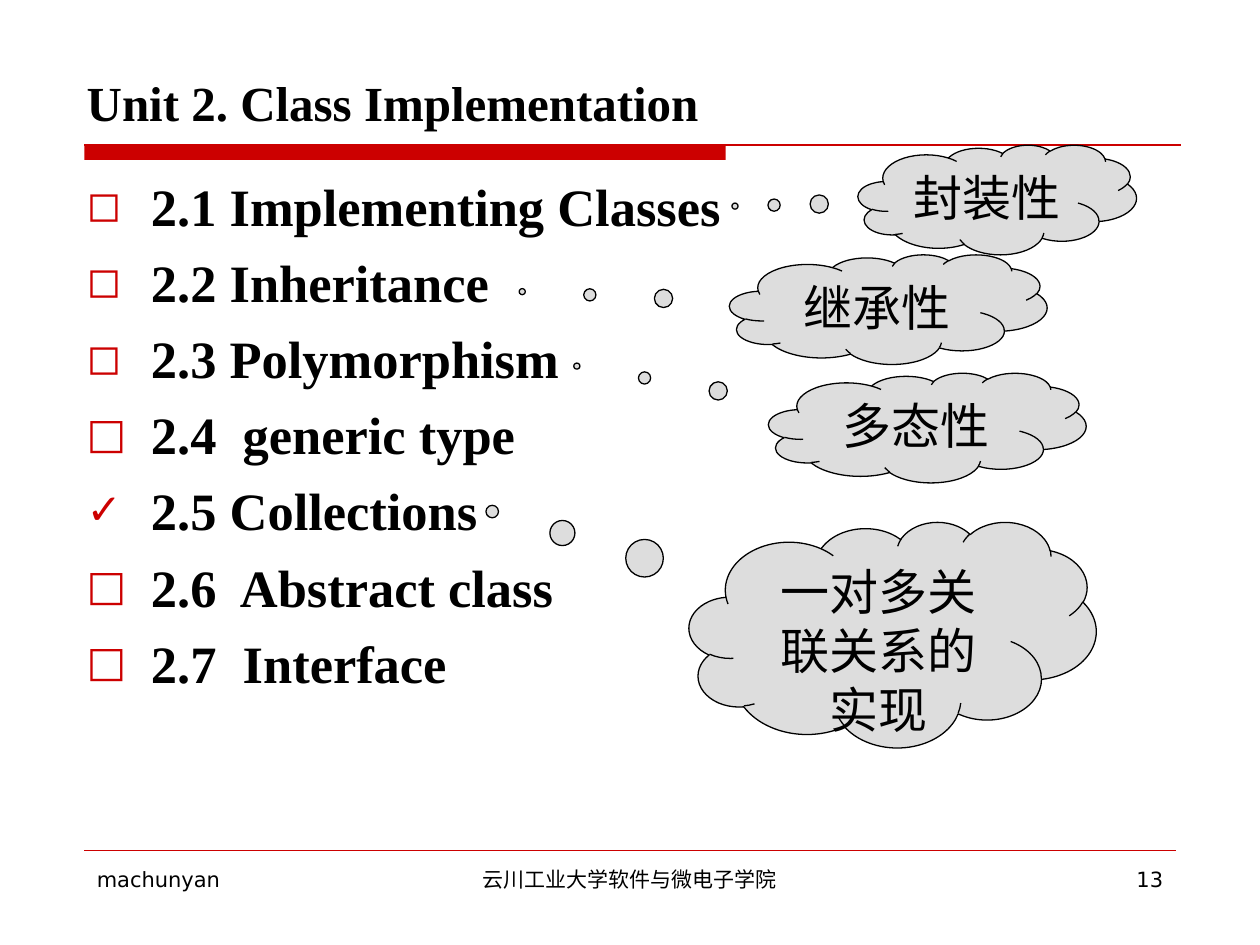
import pptx
import pptx.dml.color
import pptx.enum.shapes
import pptx.enum.text
import pptx.util
from lxml import etree
from pptx.oxml.ns import qn
from pptx.util import Inches

COLORS = {"accent": "CC0000", "cloud": "DDDDDD", "ink": "000000", "paper": "FFFFFF"}
SERIF = "Times New Roman"
SANS = "DejaVu Sans"
ALIGN = pptx.enum.text.PP_ALIGN
ANCHOR = pptx.enum.text.MSO_ANCHOR
SHAPE = pptx.enum.shapes.MSO_SHAPE

TOPICS = [
    ("◻", "2.1 Implementing Classes"),
    ("◻", "2.2 Inheritance"),
    ("◻", "2.3 Polymorphism"),
    ("□", "2.4  generic type"),
    ("✓", "2.5 Collections"),
    ("□", "2.6  Abstract class"),
    ("□", "2.7  Interface"),
]
THOUGHTS = [
    ("封装性", (6.81, 1.15, 2.21, 0.87), (-0.942, 0.059)),
    ("继承性", (5.79, 2.02, 2.52, 0.87), (-1.153, -0.161)),
    ("多态性", (6.1, 2.96, 2.52, 0.87), (-1.104, -0.562)),
    ("一对多关联关系的实现", (5.47, 4.14, 3.23, 1.79), (-0.984, -0.545)),
]


def color(name):
    return pptx.dml.color.RGBColor.from_string(COLORS[name])


def write(paragraph, text, size=28, font=SERIF, bold=False, align=ALIGN.LEFT):
    paragraph.alignment = align
    run = paragraph.add_run()
    run.text = text
    run.font.size = pptx.util.Pt(size)
    run.font.name = font
    run.font.bold = bold
    run.font.color.rgb = color("ink")


def add_frame(slide, left, top, width, height, anchor=ANCHOR.TOP):
    box = slide.shapes.add_textbox(Inches(left), Inches(top), Inches(width), Inches(height))
    frame = box.text_frame
    frame.word_wrap = True
    frame.vertical_anchor = anchor
    return frame


def add_rule(slide, left, top, width, weight):
    rule = slide.shapes.add_connector(
        pptx.enum.shapes.MSO_CONNECTOR.STRAIGHT,
        Inches(left), Inches(top), Inches(left + width), Inches(top))
    rule.line.color.rgb = color("accent")
    rule.line.width = pptx.util.Pt(weight)
    etree.SubElement(rule._element.spPr, qn("a:effectLst"))


def add_bullet(paragraph, mark):
    properties = paragraph._p.get_or_add_pPr()
    properties.set("marL", str(Inches(0.51)))
    properties.set("indent", str(-Inches(0.51)))
    tint = etree.SubElement(properties, qn("a:buClr"))
    etree.SubElement(tint, qn("a:srgbClr"), val=COLORS["accent"])
    etree.SubElement(properties, qn("a:buSzPct"), val="80000")
    etree.SubElement(properties, qn("a:buFont"), typeface=SANS)
    etree.SubElement(properties, qn("a:buChar"), char=mark)


def build_heading(slide, left, top, width, height):
    title = add_frame(slide, left, top, width, height, ANCHOR.BOTTOM)
    write(title.paragraphs[0], "Unit 2. Class Implementation", bold=True)
    rule_left, rule_top = left + 0.08, top + 0.63
    bar = slide.shapes.add_shape(
        SHAPE.RECTANGLE, Inches(rule_left), Inches(rule_top), Inches(5.09), Inches(0.12))
    bar.shadow.inherit = False
    bar.fill.solid()
    bar.fill.fore_color.rgb = color("accent")
    bar.line.fill.background()
    add_rule(slide, rule_left, rule_top, 8.7, 0.75)


def build_topics(slide, left, top, width, height):
    frame = add_frame(slide, left, top, width, height)
    frame.margin_top = Inches(0.07)
    for index, (mark, topic) in enumerate(TOPICS):
        paragraph = frame.paragraphs[0] if index == 0 else frame.add_paragraph()
        write(paragraph, topic, size=30, bold=True)
        paragraph.space_before = pptx.util.Pt(7.5)
        paragraph.line_spacing = pptx.util.Pt(36)
        add_bullet(paragraph, mark)


def build_thought(slide, text, left, top, width, height, tail):
    cloud = slide.shapes.add_shape(
        SHAPE.CLOUD_CALLOUT, Inches(left), Inches(top), Inches(width), Inches(height))
    cloud.adjustments[0], cloud.adjustments[1] = tail
    cloud.shadow.inherit = False
    cloud.fill.solid()
    cloud.fill.fore_color.rgb = color("cloud")
    cloud.line.color.rgb = color("ink")
    cloud.line.width = pptx.util.Pt(0.75)
    frame = cloud.text_frame
    frame.word_wrap = True
    frame.vertical_anchor = ANCHOR.TOP
    write(frame.paragraphs[0], text, align=ALIGN.CENTER)


def build_footer(slide, left, top, width, height):
    add_rule(slide, left, top, width, 0.25)
    side, middle = 2.17, 3.17
    fields = [
        ("machunyan", 0, side, ALIGN.LEFT),
        ("云川工业大学软件与微电子学院", (width - middle) / 2, middle, ALIGN.CENTER),
        ("13", width - side, side, ALIGN.RIGHT),
    ]
    for text, offset, span, align in fields:
        frame = add_frame(slide, left + offset, top + 0.08, span, height - 0.08)
        write(frame.paragraphs[0], text, size=12, font=SANS, align=align)


def main():
    deck = pptx.Presentation()
    deck.slide_width, deck.slide_height = Inches(10), Inches(7.5)
    slide = deck.slides.add_slide(deck.slide_layouts[6])
    slide.background.fill.solid()
    slide.background.fill.fore_color.rgb = color("paper")
    build_footer(slide, 0.67, 6.75, 8.66, 0.6)
    build_heading(slide, 0.59, 0.52, 9.34, 0.57)
    build_topics(slide, 0.59, 1.31, 7, 4.63)
    for text, box, tail in THOUGHTS:
        build_thought(slide, text, *box, tail)
    deck.save("out.pptx")


if __name__ == "__main__":
    main()
